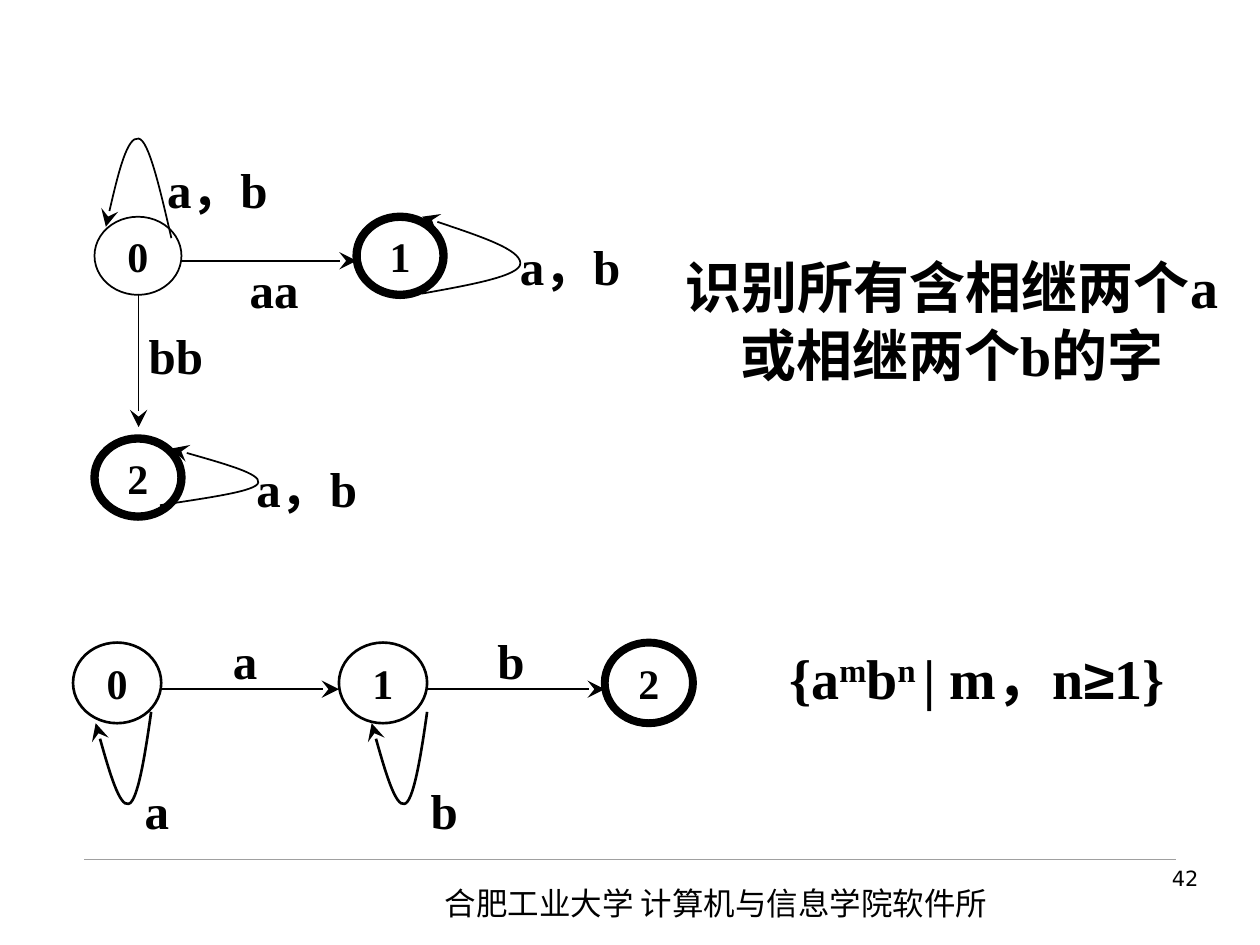
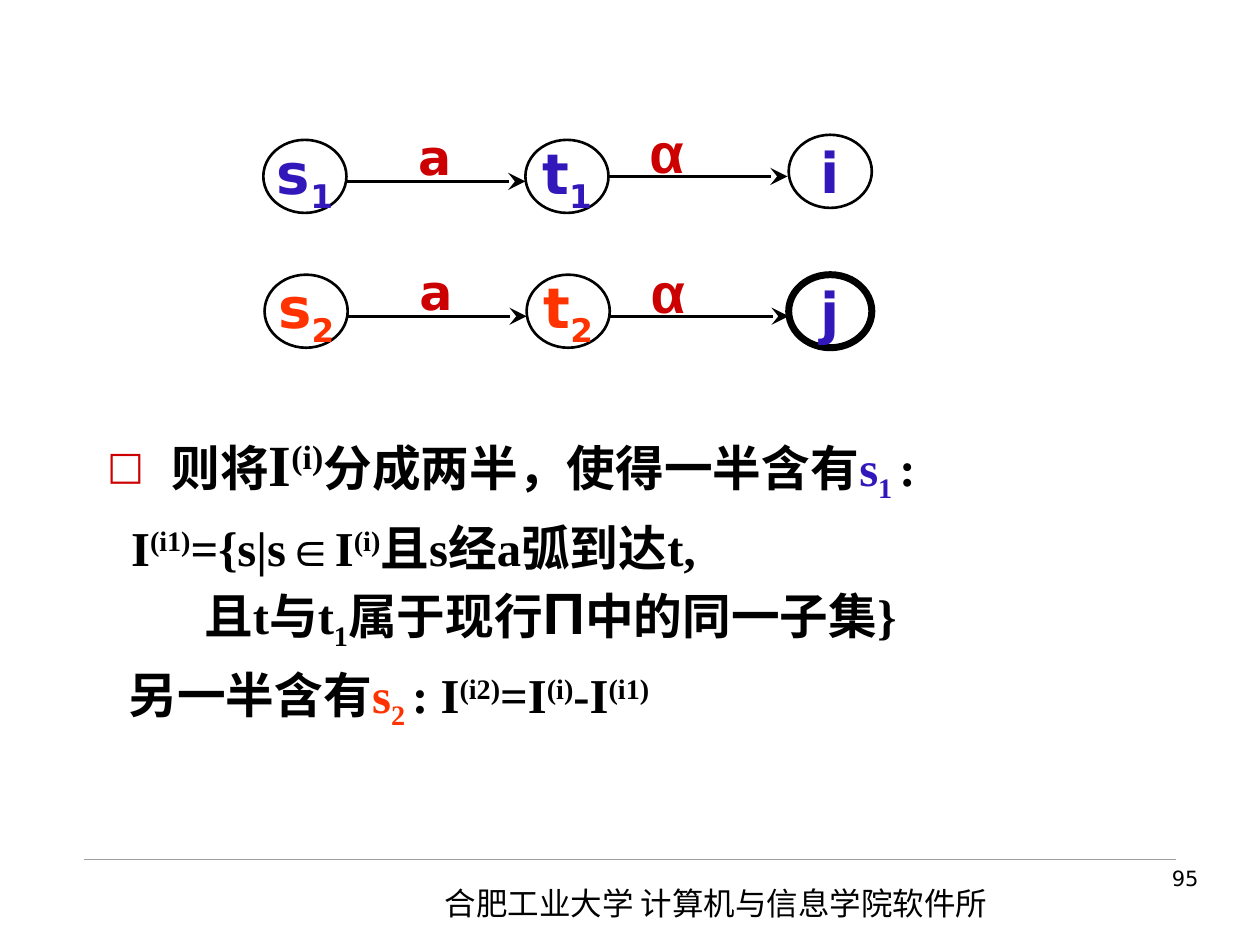
from lxml import etree
from pptx import Presentation
from pptx.dml.color import RGBColor
from pptx.enum.shapes import MSO_CONNECTOR, MSO_SHAPE
from pptx.enum.text import MSO_ANCHOR, MSO_AUTO_SIZE, PP_ALIGN
from pptx.oxml.ns import qn
from pptx.util import Emu, Pt

PX = 9144  # EMU in one px: 100 px to the inch
STRAIGHT = MSO_CONNECTOR.STRAIGHT
ELLIPSE, RECTANGLE = MSO_SHAPE.OVAL, MSO_SHAPE.RECTANGLE
MIDDLE, TOP = MSO_ANCHOR.MIDDLE, MSO_ANCHOR.TOP
LEFT, CENTER, RIGHT = PP_ALIGN.LEFT, PP_ALIGN.CENTER, PP_ALIGN.RIGHT
NO_AUTOSIZE = MSO_AUTO_SIZE.NONE

COLORS = {"ink": "000000", "rule": "A0A0A0", "red": "CC0000",
          "blue": "3217BB", "orange": "FF3300"}
SERIF, SANS, SYMBOL, CJK = ("Times New Roman", "DejaVu Sans", "Arial",
                            "Noto Sans CJK SC")
SUP, SUB = {"base": 30}, {"base": -25}
STATE = {"size": 24, "font": SERIF, "bold": True}
LABEL = {"size": 28, "font": SERIF, "bold": True}
NOTE = {"size": 32, "font": SERIF, "bold": True}


def color(name):
    return RGBColor.from_string(COLORS[name])


def sub(parent, tag, **attrs):
    return etree.SubElement(parent, qn(tag), **attrs)


class Deck:
    FOOTER = "合肥工业大学 计算机与信息学院软件所"

    def __init__(self):
        self.prs = Presentation()
        self.prs.slide_width, self.prs.slide_height = self.emu(1000, 750)
        self.s = None

    @staticmethod
    def emu(*lengths):
        return [Emu(round(n * PX)) for n in lengths]

    def slide(self, number, layout):
        self.s = self.prs.slides.add_slide(self.prs.slide_layouts[layout])
        title = self.s.shapes.title
        if title is not None:
            title.element.getparent().remove(title.element)
        self.line((67, 682), (933, 682), 0.25, "rule", arrow=False)
        self.text((343, 697, 472, 40), [[self.FOOTER]], align=LEFT,
                  size=18, font=CJK)
        self.text((744, 682, 217, 52), [[str(number)]], align=RIGHT,
                  size=12, font=SANS)

    def runs(self, p, parts, **style):
        """Add each part, a string or (string, changes to the style)."""
        for part in parts:
            text, changes = (part, {}) if isinstance(part, str) else part
            look = {"bold": False, "color": "ink", **style, **changes}
            r = p.add_run()
            r.text = text
            r.font.size = Pt(look["size"])
            r.font.name = look["font"]
            r.font.bold = look["bold"]
            r.font.color.rgb = color(look["color"])
            rPr = r._r.get_or_add_rPr()
            sub(rPr, "a:ea", typeface=CJK)
            if "base" in look:
                rPr.set("baseline", str(look["base"] * 1000))

    def fill_frame(self, tf, paragraphs, anchor, align, wrap, **style):
        tf.word_wrap = wrap
        tf.vertical_anchor = anchor
        for i, parts in enumerate(paragraphs):
            p = tf.paragraphs[0] if i == 0 else tf.add_paragraph()
            p.alignment = align
            self.runs(p, parts, **style)

    def text(self, box, paragraphs, align, **style):
        sp = self.s.shapes.add_textbox(*self.emu(*box))
        self.fill_frame(sp.text_frame, paragraphs, TOP, align, True, **style)

    def label(self, box, paragraphs, preset=RECTANGLE, width=None, **style):
        """Centred text that may run past its shape; no width, no outline."""
        sp = self.s.shapes.add_shape(preset, *self.emu(*box))
        self.outline(sp, width)
        self.fill_frame(sp.text_frame, paragraphs, MIDDLE, CENTER, False,
                        **style)

    def node(self, box, parts, width, **style):
        self.label(box, [parts], ELLIPSE, width, **style)

    def outline(self, sp, width):
        sp.shadow.inherit = False
        sp.fill.background()
        if width is None:
            sp.line.fill.background()
        else:
            sp.line.color.rgb = color("ink")
            sp.line.width = Pt(width)

    def arrowhead(self, sp):
        sub(sp.line._get_or_add_ln(), "a:tailEnd", type="stealth",
            w="lg", len="lg")

    def line(self, start, end, width, ink="ink", arrow=True):
        cxn = self.s.shapes.add_connector(STRAIGHT, *self.emu(*start, *end))
        cxn.line.color.rgb = color(ink)
        cxn.line.width = Pt(width)
        sub(cxn._element.spPr, "a:effectLst")
        if arrow:
            self.arrowhead(cxn)

    def loop(self, points, width):
        """Curved arrow through seven points: two cubic curves end to end."""
        fb = self.s.shapes.build_freeform(*self.emu(*points[0]), scale=1.0)
        fb.add_line_segments([self.emu(*pt) for pt in points[1:]],
                             close=False)
        sp = fb.convert_to_shape()
        segments = list(sp._element.iter(qn("a:lnTo")))
        outline = segments[0].getparent()
        for i in range(0, len(segments), 3):
            cubic = sub(outline, "a:cubicBezTo")
            for segment in segments[i:i + 3]:
                cubic.append(segment[0])
                outline.remove(segment)
        self.outline(sp, width)
        self.arrowhead(sp)

    def body(self, box, paragraphs, **style):
        """Fill the body placeholder; a paragraph is (indent, gap, bullet, parts)."""
        sp = self.s.placeholders[1]
        sp.left, sp.top, sp.width, sp.height = self.emu(*box)
        tf = sp.text_frame
        tf.auto_size = NO_AUTOSIZE
        tf.vertical_anchor = TOP
        for i, (indent, gap, bullet, parts) in enumerate(paragraphs):
            p = tf.paragraphs[0] if i == 0 else tf.add_paragraph()
            pPr = p._p.get_or_add_pPr()
            left = self.emu(indent)[0]
            pPr.set("marL", str(left))
            pPr.set("indent", str(-left if bullet else 0))
            if bullet:
                sub(sub(pPr, "a:buClr"), "a:srgbClr", val=COLORS["red"])
                sub(pPr, "a:buSzPct", val="80000")
                sub(pPr, "a:buFont", typeface=SANS)
                sub(pPr, "a:buChar", char=bullet)
            else:
                sub(pPr, "a:buNone")
            p.space_before = Pt(gap)
            self.runs(p, parts, **style)


def automata_slide(deck):
    deck.slide(42, layout=6)

    for name, x, y, width in (("0", 75, 172, 1), ("2", 75, 348, 4.75),
                              ("1", 283, 172, 4.75)):
        deck.node((x, y, 69, 62), [name], width, **STATE)
    for label, x, y in (("a，b", 125, 119), ("aa", 170, 198),
                        ("a，b", 405, 180), ("bb", 92, 251),
                        ("a，b", 196, 356)):
        deck.label((x, y, 95, 62), [[label]], **LABEL)
    deck.line((144, 207), (283, 207), 1)
    deck.line((110, 233), (110, 339), 1)
    for points in (
        [(136, 189), (127, 150), (118, 111), (110, 110),
         (101, 108), (92, 144), (84, 180)],
        [(127, 401), (165, 395), (204, 390), (205, 383),
         (207, 376), (171, 366), (136, 356)],
        [(335, 233), (374, 226), (413, 219), (413, 209),
         (413, 198), (374, 185), (335, 172)],
    ):
        deck.loop(points, 1)

    first, step = 58, 211
    for i, width in enumerate((1.5, 1.5, 4.5)):
        deck.node((first + i * step, 510, 70, 64), [str(i)], width, **STATE)
    for i, (label, loop_x, label_x) in enumerate((("a", 76, 76),
                                                  ("b", 295, 304))):
        x = first + i * step
        deck.line((x + 70, 547), (x + step, 547), 1.5)
        deck.label((x + 88, 492, 97, 64), [[label]], **LABEL)
        deck.loop([(loop_x + dx, y) for dx, y in
                   ((44, 565), (39, 601), (33, 637), (26, 638),
                    (19, 640), (9, 607), (0, 574))], 1.5)
        deck.label((label_x, 611, 97, 64), [[label]], **LABEL)

    cjk = {"font": CJK}
    deck.label((531, 200, 449, 108),
               [[("识别所有含相继两个", cjk), "a"],
                [("或相继两个", cjk), "b", ("的字", cjk)]], **NOTE)
    deck.label((592, 483, 367, 108),
               [["{a", ("m", SUP), "b", ("n ", SUP), "| m，n",
                 ("≥", {"font": SYMBOL}), "1}"]], **NOTE)


def partition_slide(deck):
    deck.slide(95, layout=1)
    blue, orange = {"color": "blue"}, {"color": "orange"}
    big = {"size": 33.3}
    deck.body((75, 335, 875, 269), [
        (51, 0, "□", ["则将", ("I", big), ("(i)", {**big, **SUP}),
                      "分成两半，使得一半含有", ("s", blue),
                      ("1 ", {**blue, **SUB}), ":"]),
        (19, 7.5, None, ["I", ("(i1)", SUP), "={s|s",
                         ("∈", {"font": SYMBOL}), "I", ("(i)", SUP),
                         "且s经a弧到达t,"]),
        (77, 0, None, ["且t与t", ("1", SUB), "属于现行",
                       ("Π", {**big, "font": SYMBOL}), "中的同一子集}"]),
        (17, 7.5, None, ["另一半含有", ("s", orange),
                         ("2 ", {**orange, **SUB}), ": I", ("(i2)", SUP),
                         "=I", ("(i)", SUP), "-I", ("(i1)", SUP)]),
    ], size=27.8, font=SERIF, bold=True)

    node_style = {"size": 32, "font": SANS, "bold": True}
    arcs = ({"text": "a", "size": 28, "font": SANS},
            {"text": "α", "size": 32, "font": SYMBOL})
    rows = (("1", "blue", "i", 1.5, ((209, 111), (417, 111), (626, 107))),
            ("2", "orange", "j", 4, ((210, 218), (418, 218), (626, 218))))
    for index, ink, last, last_width, spots in rows:
        names = (["s", (index, SUB)], ["t", (index, SUB)], [last])
        for (x, y), parts, width, node_ink in zip(
                spots, names, (1.5, 1.5, last_width), (ink, ink, "blue")):
            deck.node((x, y, 66, 58), parts, width, color=node_ink,
                      **node_style)
        # The second arc follows the height of the last node.
        for arc, x, y, label_dx in ((arcs[0], *spots[0], 90),
                                    (arcs[1], spots[1][0], spots[2][1], 66)):
            deck.line((x + 66, y + 33), (x + 208, y + 33), 1.5)
            deck.label((x + label_dx, y - 16, 92, 58), [[arc["text"]]],
                       size=arc["size"], font=arc["font"], bold=True,
                       color="red")


def main():
    deck = Deck()
    automata_slide(deck)
    partition_slide(deck)
    deck.prs.save("out.pptx")


if __name__ == "__main__":
    main()
